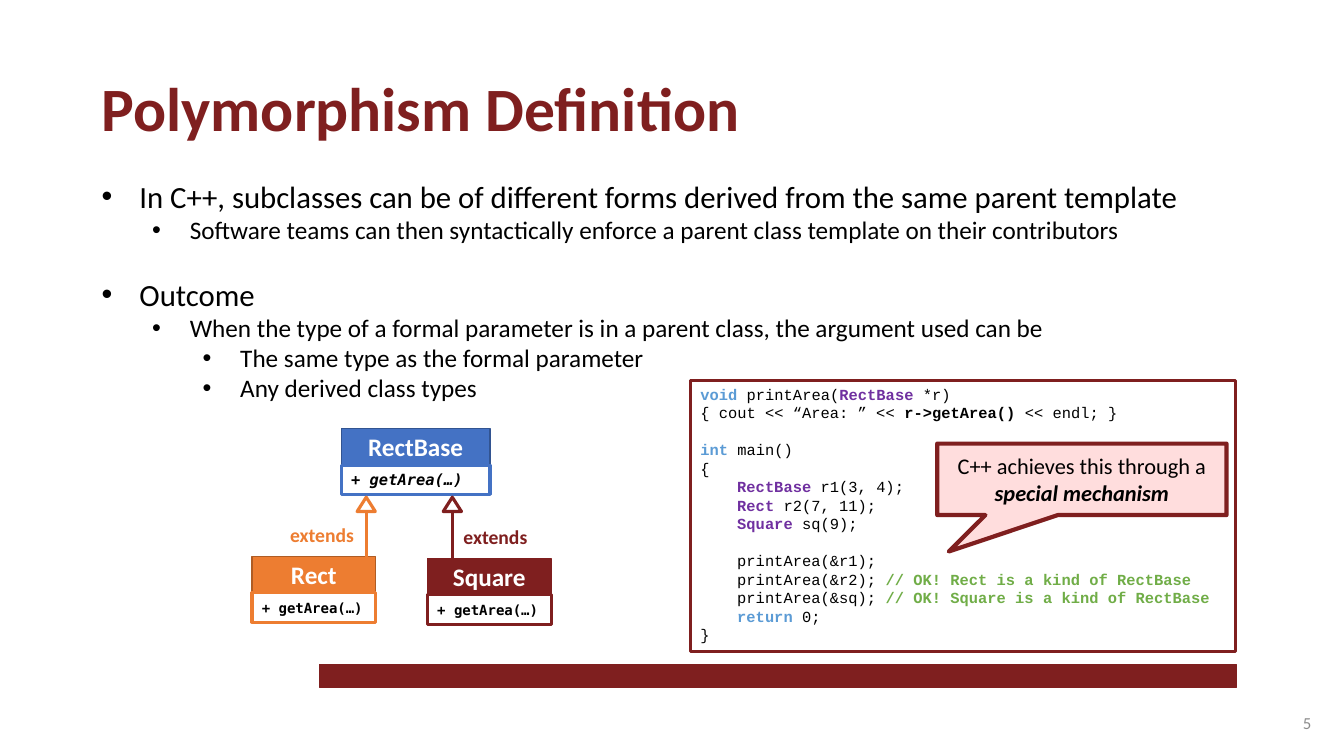
from dataclasses import dataclass

from pptx import Presentation
from pptx import util as u
from pptx.dml.color import RGBColor
from pptx.enum import shapes, text
from pptx.oxml import parse_xml
from pptx.oxml.ns import nsdecls
from pptx.shapes.autoshape import Shape
from pptx.slide import Slide

COLORS = {
    "maroon": "7F1F1F", "orange": "ED7D31", "orange_edge": "AF5C24",
    "blue": "4472C4", "blue_edge": "325491", "white": "FFFFFF",
    "black": "000000", "gray": "8C8C8C", "pink": "FFDDDD",
    "keyword": "5B9BD5", "type": "7030A0", "comment": "70AD47",
}
SANS, MONO, CODE = "Calibri", "DejaVu Sans Mono", "Courier New"
LEFT, CENTER, RIGHT = text.PP_ALIGN.LEFT, text.PP_ALIGN.CENTER, text.PP_ALIGN.RIGHT
TOP, MIDDLE = text.MSO_ANCHOR.TOP, text.MSO_ANCHOR.MIDDLE
RECT = shapes.MSO_SHAPE.RECTANGLE
CODE_PITCH = u.Pt(13.2)


@dataclass
class Span:
    words: str
    color: str = "black"
    bold: bool = False
    italic: bool = False


@dataclass
class Bullet:
    words: str
    level: int
    size: float
    before: float = 0


@dataclass
class CodeLine:
    spans: list[Span]
    indented: bool = False
    after_gap: bool = False


@dataclass
class ClassBox:
    name: str
    left: float
    top: float
    width: float
    color: str
    edge: str
    method_size: float
    abstract: bool = False


@dataclass
class Inheritance:
    center: float
    label_left: float
    label_top: float
    color: str


BULLETS = [
    Bullet("In C++, subclasses can be of different forms derived from the same parent template", 0, 22),
    Bullet("Software teams can then syntactically enforce a parent class template on their contributors", 1, 18),
    Bullet("Outcome", 0, 22, before=22),
    Bullet("When the type of a formal parameter is in a parent class, the argument used can be", 1, 18),
    Bullet("The same type as the formal parameter", 2, 18),
    Bullet("Any derived class types", 2, 18),
]
CLASSES = [
    ClassBox("RectBase", 8.6, 10.8, 3.75, "blue", "blue_edge", 11, abstract=True),
    ClassBox("Rect", 6.35, 14.02, 3.12, "orange", "orange_edge", 10),
    ClassBox("Square", 10.77, 14.07, 3.12, "maroon", "maroon", 10),
]
INHERITANCES = [
    Inheritance(9.23, 7.06, 13.06, "orange"),
    Inheritance(11.4, 11.43, 13.11, "maroon"),
]


def keyword(words: str) -> Span:
    return Span(words, "keyword", bold=True)


def kind(words: str) -> Span:
    return Span(words, "type", bold=True)


def comment(words: str) -> Span:
    return Span(words, "comment", bold=True)


CODE_LINES = [
    CodeLine([keyword("void "), Span("printArea("), kind("RectBase"), Span(" *r)")]),
    CodeLine([Span("{ cout << “Area: ” << "), Span("r->getArea() ", bold=True), Span("<< endl; }")]),
    CodeLine([keyword("int"), Span(" main()")], after_gap=True),
    CodeLine([Span("{")]),
    CodeLine([kind("RectBase"), Span(" r1(3, 4);")], indented=True),
    CodeLine([kind("Rect"), Span(" r2(7, 11);")], indented=True),
    CodeLine([kind("Square"), Span(" sq(9);")], indented=True),
    CodeLine([Span("printArea(&r1);")], indented=True, after_gap=True),
    CodeLine([Span("printArea(&r2); "), comment("// OK! Rect is a kind of RectBase")], indented=True),
    CodeLine([Span("printArea(&sq); "), comment("// OK! Square is a kind of RectBase")], indented=True),
    CodeLine([keyword("return"), Span(" 0;")], indented=True),
    CodeLine([Span("}")]),
]


def rgb(color: str) -> RGBColor:
    return RGBColor.from_string(COLORS[color])


def write(paragraph, spans: list[Span], size: float, font: str = SANS, align=LEFT) -> None:
    paragraph.alignment = align
    for span in spans:
        run = paragraph.add_run()
        run.text = span.words
        run.font.size, run.font.name = u.Pt(size), font
        run.font.bold, run.font.italic = span.bold, span.italic
        run.font.color.rgb = rgb(span.color)


def place(shape: Shape, left: float, top: float, width: float, height: float) -> None:
    shape.left, shape.top = u.Cm(left), u.Cm(top)
    shape.width, shape.height = u.Cm(width), u.Cm(height)


def set_frame(shape: Shape, anchor) -> None:
    frame = shape.text_frame
    frame.word_wrap, frame.vertical_anchor = True, anchor
    frame.auto_size = text.MSO_AUTO_SIZE.NONE


def add_box(slide: Slide, preset, left: float, top: float, width: float, height: float,
            fill: str | None, edge: str, weight: float, anchor=MIDDLE) -> Shape:
    box = slide.shapes.add_shape(preset, u.Cm(left), u.Cm(top), u.Cm(width), u.Cm(height))
    box.shadow.inherit = False
    if fill:
        box.fill.solid()
        box.fill.fore_color.rgb = rgb(fill)
    else:
        box.fill.background()
    box.line.color.rgb, box.line.width = rgb(edge), u.Pt(weight)
    set_frame(box, anchor)
    return box


def add_label(slide: Slide, left: float, top: float, width: float, height: float,
              span: Span, size: float, align=LEFT, anchor=TOP) -> None:
    label = slide.shapes.add_textbox(u.Cm(left), u.Cm(top), u.Cm(width), u.Cm(height))
    set_frame(label, anchor)
    write(label.text_frame.paragraphs[0], [span], size, align=align)


def fill_body(body: Shape) -> None:
    place(body, 2.31, 4.34, 28.83, 6)
    set_frame(body, TOP)
    body.text_frame.text = "\n".join(bullet.words for bullet in BULLETS)
    for bullet, paragraph in zip(BULLETS, body.text_frame.paragraphs):
        paragraph.level, paragraph.alignment = bullet.level, LEFT
        paragraph.line_spacing, paragraph.space_before = 1.0, u.Pt(bullet.before)
        font = paragraph.runs[0].font
        font.size, font.name = u.Pt(bullet.size), SANS
        font.color.rgb = rgb("black")
        properties = paragraph._p.get_or_add_pPr()
        properties.set("marL", str(u.Cm(0.95 + 1.27 * bullet.level)))
        properties.set("indent", str(u.Cm(-0.95)))
        properties.append(parse_xml(f'<a:buFont {nsdecls("a")} typeface="Arial"/>'))
        properties.append(parse_xml(f'<a:buChar {nsdecls("a")} char="•"/>'))


def add_class(slide: Slide, item: ClassBox) -> None:
    header = add_box(slide, RECT, item.left, item.top, item.width, 0.92, item.color, item.edge, 1)
    write(header.text_frame.paragraphs[0], [Span(item.name, "white", bold=True)], 18, align=CENTER)
    method = add_box(slide, RECT, item.left, item.top + 0.92, item.width, 0.74, "white", item.color, 2.25)
    signature = Span("+ getArea(…)", bold=True, italic=item.abstract)
    write(method.text_frame.paragraphs[0], [signature], item.method_size, MONO)


def add_inheritance(slide: Slide, item: Inheritance) -> None:
    add_box(slide, shapes.MSO_SHAPE.ISOSCELES_TRIANGLE, item.center - 0.23, 12.53, 0.46, 0.36,
            None, item.color, 2.25)
    stem = slide.shapes.add_connector(shapes.MSO_CONNECTOR.STRAIGHT, u.Cm(item.center), u.Cm(12.9),
                                      u.Cm(item.center), u.Cm(14.07))
    stem.line.color.rgb, stem.line.width = rgb(item.color), u.Pt(2.25)
    stem._element.spPr.append(parse_xml(f'<a:effectLst {nsdecls("a")}/>'))
    add_label(slide, item.label_left, item.label_top, 2.62, 0.86,
              Span("extends", item.color, bold=True), 14)


def add_code(slide: Slide) -> None:
    listing = add_box(slide, RECT, 17.4, 9.58, 13.74, 6.83, "white", "maroon", 2.25, TOP)
    for index, line in enumerate(CODE_LINES):
        frame = listing.text_frame
        paragraph = frame.add_paragraph() if index else frame.paragraphs[0]
        write(paragraph, line.spans, 11, CODE)
        paragraph.line_spacing = CODE_PITCH
        paragraph.space_before = CODE_PITCH if line.after_gap else u.Pt(0)
        if line.indented:
            paragraph._p.get_or_add_pPr().set("marL", str(u.Cm(0.93)))


def main() -> None:
    deck = Presentation()
    deck.slide_width, deck.slide_height = u.Cm(33.87), u.Cm(19.05)
    slide = deck.slides.add_slide(deck.slide_layouts[1])
    add_box(slide, RECT, 8.05, 16.74, 23.11, 0.58, "maroon", "maroon", 1)
    title = slide.shapes.title
    place(title, 2.31, 1.63, 20.57, 2.13)
    set_frame(title, TOP)
    write(title.text_frame.paragraphs[0], [Span("Polymorphism Definition", "maroon", bold=True)], 44)
    fill_body(slide.placeholders[1])
    add_label(slide, 25.68, 17.7, 7.62, 1.02, Span("5", "gray"), 12, RIGHT, MIDDLE)
    for item in CLASSES:
        add_class(slide, item)
    for item in INHERITANCES:
        add_inheritance(slide, item)
    add_code(slide)
    callout = add_box(slide, shapes.MSO_SHAPE.RECTANGULAR_CALLOUT, 23.62, 11.18, 7.29, 1.8,
                      "pink", "maroon", 3)
    callout.adjustments[0], callout.adjustments[1] = -0.46, 1.01
    remark = [Span("C++ achieves this through a "), Span("special mechanism", bold=True, italic=True)]
    write(callout.text_frame.paragraphs[0], remark, 16, align=CENTER)
    deck.save("out.pptx")


if __name__ == "__main__":
    main()
